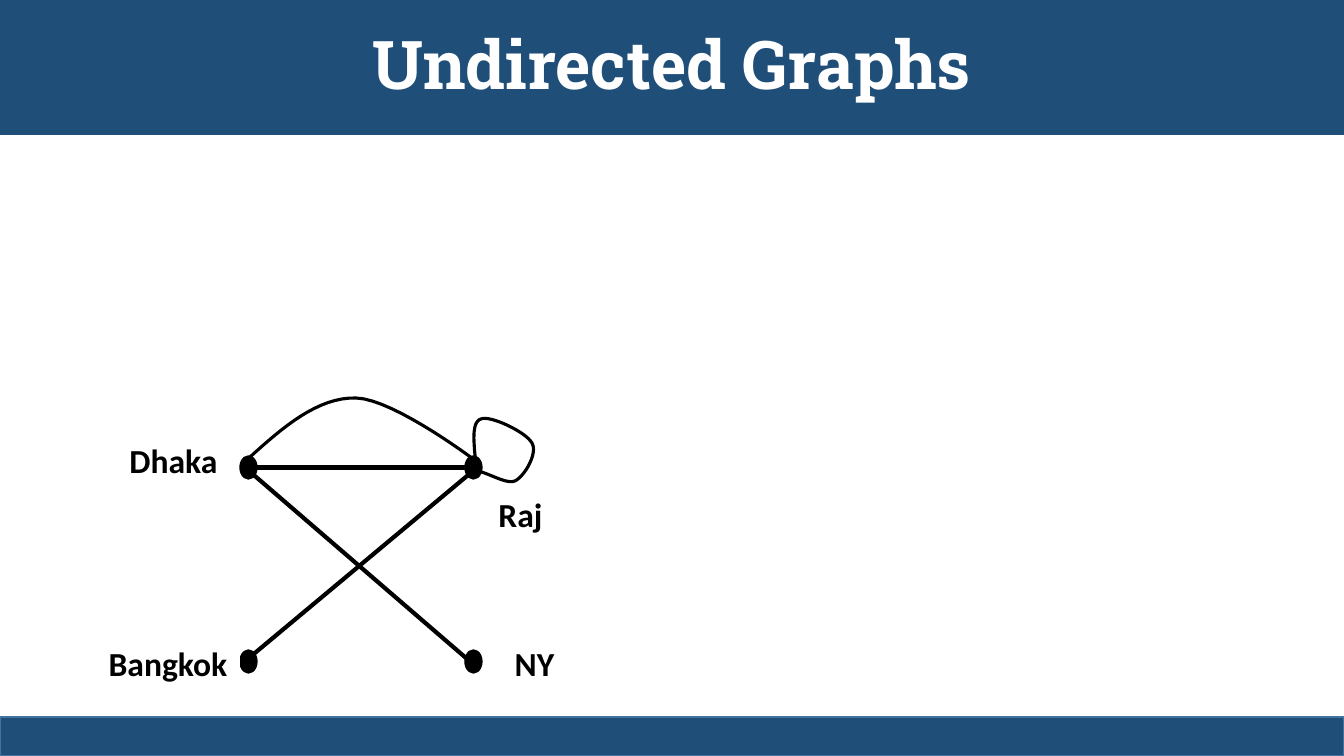
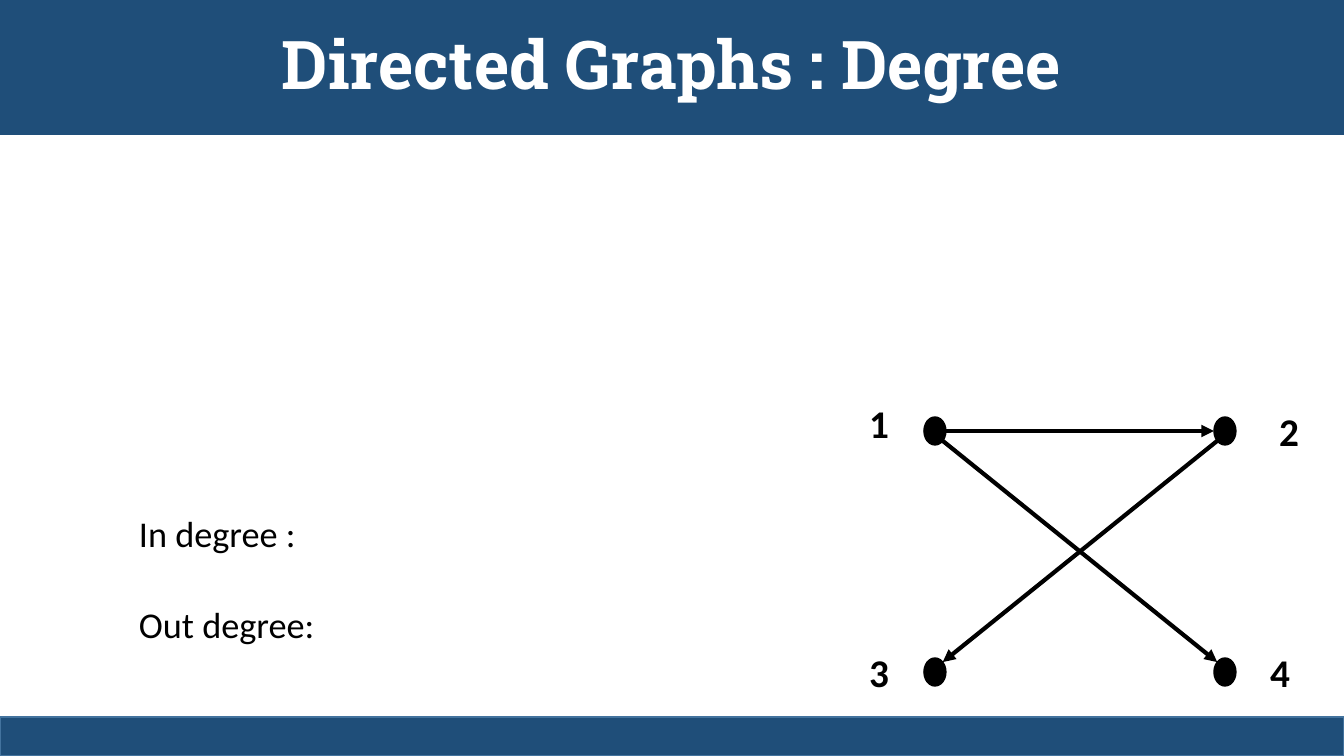
from dataclasses import dataclass

from lxml.etree import SubElement
from pptx import Presentation
from pptx.dml.color import RGBColor
from pptx.enum.shapes import MSO_CONNECTOR, MSO_SHAPE
from pptx.enum.text import MSO_ANCHOR, PP_ALIGN
from pptx.oxml.ns import qn
from pptx.util import Emu, Pt

SLIDE_WIDTH, SLIDE_HEIGHT = 1344, 756
EMU_PER_PX = 12192000 / SLIDE_WIDTH


@dataclass(frozen=True)
class Theme:
    band: RGBColor = RGBColor(0x1F, 0x4E, 0x79)
    band_border: RGBColor = RGBColor(0x43, 0x73, 0x9E)
    paper: RGBColor = RGBColor(0xFF, 0xFF, 0xFF)
    ink: RGBColor = RGBColor(0, 0, 0)
    title_font: str = "Roboto Slab"
    body_font: str = "Calibri"
    title_size: float = 48
    city_size: float = 24
    number_size: float = 28
    body_size: float = 25.9
    border_width: float = 1
    curve_width: float = 2.25
    edge_width: float = 3


THEME = Theme()

TITLE_FONT = {"name": THEME.title_font, "size": Pt(THEME.title_size), "bold": True}
CITY_FONT = {"name": THEME.body_font, "size": Pt(THEME.city_size), "bold": True}
NUMBER_FONT = {"name": THEME.body_font, "size": Pt(THEME.number_size), "bold": True}
BODY_FONT = {"name": THEME.body_font, "size": Pt(THEME.body_size), "bold": False}
CENTERED = {"alignment": PP_ALIGN.CENTER}
TITLE_PARAGRAPH = {"alignment": PP_ALIGN.CENTER, "line_spacing": 0.9}
BODY_PARAGRAPH = {"alignment": PP_ALIGN.LEFT, "line_spacing": 0.94}

DIAGONAL = 0.5 ** 0.5 / 2
ANCHORS = {
    "left": (0, 0.5),
    "right": (1, 0.5),
    "top left": (0.5 - DIAGONAL, 0.5 - DIAGONAL),
    "top right": (0.5 + DIAGONAL, 0.5 - DIAGONAL),
    "bottom left": (0.5 - DIAGONAL, 0.5 + DIAGONAL),
    "bottom right": (0.5 + DIAGONAL, 0.5 + DIAGONAL),
}

CITY_GRAPH = {
    "dot": (17, 23),
    "edges": [
        ("Dhaka", "right", "Raj", "left"),
        ("Bangkok", "top right", "Raj", "bottom left"),
        ("Dhaka", "bottom right", "NY", "bottom right"),
    ],
    "labels": {
        "Dhaka": (-124, -17, 115, 42),
        "Raj": (236, 37, 89, 42),
        "Bangkok": (-144, 186, 144, 42),
        "NY": (248, 186, 93, 42),
    },
    "label_shape": MSO_SHAPE.ROUNDED_RECTANGLE,
    "font": CITY_FONT,
}
NUMBER_GRAPH = {
    "dot": (22, 28),
    "edges": [
        ("1", "right", "2", "left"),
        ("2", "bottom left", "3", "top right"),
        ("1", "bottom right", "4", "top left"),
    ],
    "labels": {
        "1": (-67, -16, 44, 44),
        "2": (343, -8, 44, 44),
        "3": (-67, 233, 44, 44),
        "4": (334, 233, 44, 44),
    },
    "label_shape": MSO_SHAPE.RECTANGLE,
    "font": NUMBER_FONT,
    "arrows": True,
}

PARALLEL_EDGE = [(9, 2), (43, -29), (78, -59), (116, -58), (155, -57), (240, 8), (240, 8)]
SELF_LOOP = [
    (236, 9), (234, -12), (231, -34), (241, -37),
    (250, -41), (286, -24), (292, -13),
    (298, -3), (285, 20), (275, 25),
    (265, 29), (245, 14), (231, 14),
]


def px(length):
    return Emu(round(length * EMU_PER_PX))


def apply_format(target, values):
    for name, value in values.items():
        setattr(target, name, value)


def set_line(line, color, width):
    line.color.rgb = color
    line.width = Pt(width)


def add_box(slide, geometry, box, fill, border=None):
    shape = slide.shapes.add_shape(geometry, *map(px, box))
    shape.shadow.inherit = False
    shape.fill.solid()
    shape.fill.fore_color.rgb = fill
    if border is None:
        shape.line.fill.background()
    else:
        set_line(shape.line, border, THEME.border_width)
    return shape


def write_text(shape, text, font, paragraph_format, color=THEME.ink, frame_format=None):
    frame = shape.text_frame
    apply_format(frame, {"word_wrap": True, "vertical_anchor": MSO_ANCHOR.MIDDLE, **(frame_format or {})})
    paragraph = frame.paragraphs[0]
    apply_format(paragraph, paragraph_format)
    run = paragraph.add_run()
    run.text = text
    apply_format(run.font, font)
    run.font.color.rgb = color


def add_edge(slide, start, end, arrow):
    connector = slide.shapes.add_connector(MSO_CONNECTOR.STRAIGHT, *map(px, (*start, *end)))
    set_line(connector.line, THEME.ink, THEME.edge_width)
    if arrow:
        SubElement(connector.line._get_or_add_ln(), qn("a:tailEnd"), type="triangle")
    SubElement(connector._element.spPr, qn("a:effectLst"))


def bezier_points(controls, steps=16):
    points = [controls[0]]
    for first in range(0, len(controls) - 1, 3):
        segment = controls[first:first + 4]
        for step in range(1, steps + 1):
            t = step / steps
            weights = ((1 - t) ** 3, 3 * t * (1 - t) ** 2, 3 * t * t * (1 - t), t ** 3)
            points.append(tuple(sum(w * point[axis] for w, point in zip(weights, segment)) for axis in (0, 1)))
    return points


def add_curve(slide, box, controls):
    left, top = box[:2]
    points = [(px(left + x), px(top + y)) for x, y in bezier_points(controls)]
    builder = slide.shapes.build_freeform(*points[0])
    builder.add_line_segments(points[1:], close=False)
    curve = builder.convert_to_shape()
    curve.shadow.inherit = False
    curve.fill.background()
    set_line(curve.line, THEME.ink, THEME.curve_width)


def add_graph(slide, box, dot, edges, labels, label_shape, font, arrows=False):
    left, top, width, height = box
    dot_width, dot_height = dot
    corners = [(x, y) for y in (top, top + height - dot_height) for x in (left, left + width - dot_width)]
    nodes = dict(zip(labels, corners))

    def anchor_point(node, anchor):
        x, y = nodes[node]
        across, down = ANCHORS[anchor]
        return x + across * dot_width, y + down * dot_height

    for corner in corners:
        add_box(slide, MSO_SHAPE.FLOWCHART_CONNECTOR, (*corner, *dot), THEME.ink, THEME.ink)
    for start, start_anchor, end, end_anchor in edges:
        add_edge(slide, anchor_point(start, start_anchor), anchor_point(end, end_anchor), arrows)
    for text, (x, y, label_width, label_height) in labels.items():
        label = add_box(slide, label_shape, (left + x, top + y, label_width, label_height), THEME.paper)
        write_text(label, text, font, CENTERED)


def add_degree_list(slide, box, texts):
    left, top, width, height = box
    row_height = 59
    pitch = (height - row_height) / (len(texts) - 1)
    for row, text in enumerate(texts):
        shape = add_box(slide, MSO_SHAPE.RECTANGLE, (left, top + row * pitch, width, row_height), THEME.paper)
        write_text(shape, text, BODY_FONT, BODY_PARAGRAPH, frame_format={"vertical_anchor": MSO_ANCHOR.TOP})


def add_banded_slide(presentation, title):
    slide = presentation.slides.add_slide(presentation.slide_layouts[6])
    band = add_box(slide, MSO_SHAPE.RECTANGLE, (0, 0, SLIDE_WIDTH, 135), THEME.band)
    write_text(band, title, TITLE_FONT, TITLE_PARAGRAPH, THEME.paper)
    footer_height = 39
    footer = (0, SLIDE_HEIGHT - footer_height, SLIDE_WIDTH, footer_height)
    add_box(slide, MSO_SHAPE.RECTANGLE, footer, THEME.band, THEME.band_border)
    return slide


def build_undirected_slide(presentation):
    slide = add_banded_slide(presentation, "Undirected Graphs")
    box = (240, 456, 242, 217)
    add_graph(slide, box, **CITY_GRAPH)
    for controls in (PARALLEL_EDGE, SELF_LOOP):
        add_curve(slide, box, controls)


def build_directed_slide(presentation):
    slide = add_banded_slide(presentation, "Directed Graphs : Degree")
    add_degree_list(slide, (129, 510, 243, 150), ["In degree :", "Out degree:"])
    add_graph(slide, (924, 417, 312, 269), **NUMBER_GRAPH)


def main():
    presentation = Presentation()
    apply_format(presentation, {"slide_width": px(SLIDE_WIDTH), "slide_height": px(SLIDE_HEIGHT)})
    build_undirected_slide(presentation)
    build_directed_slide(presentation)
    presentation.save("out.pptx")


if __name__ == "__main__":
    main()
